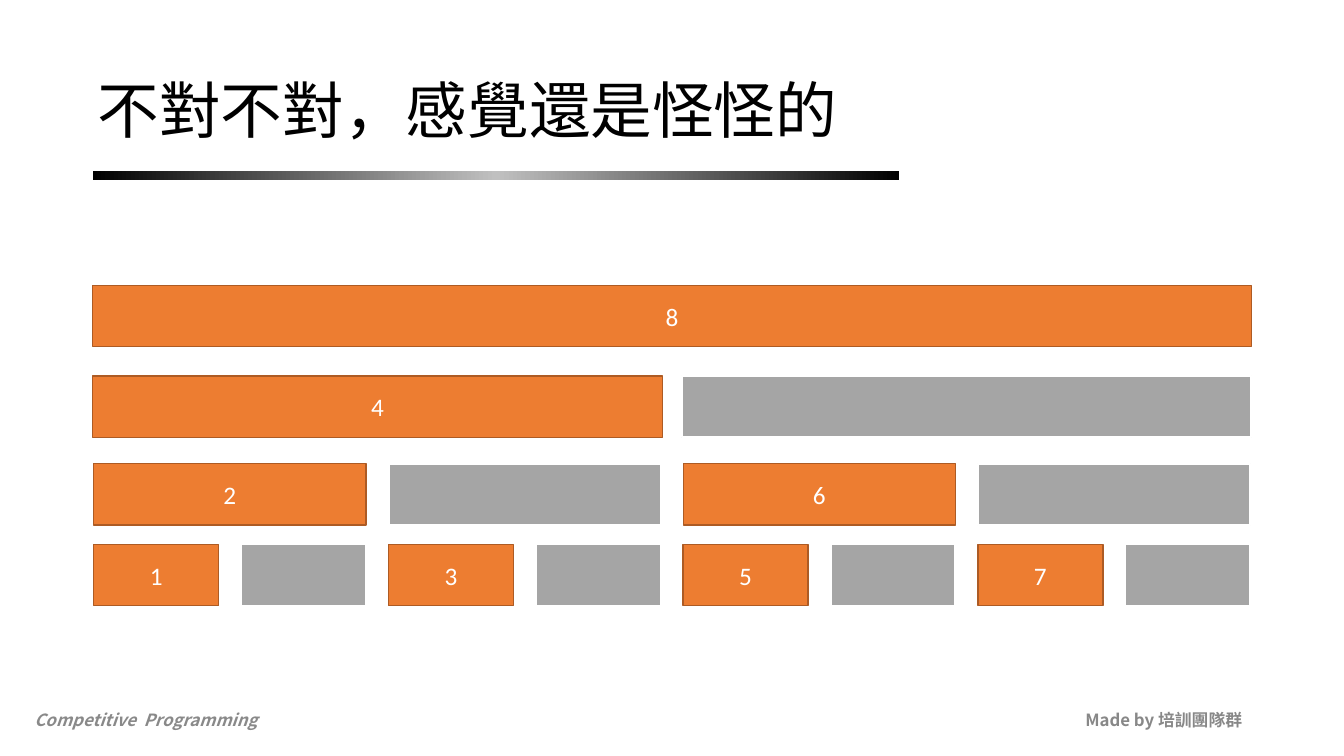
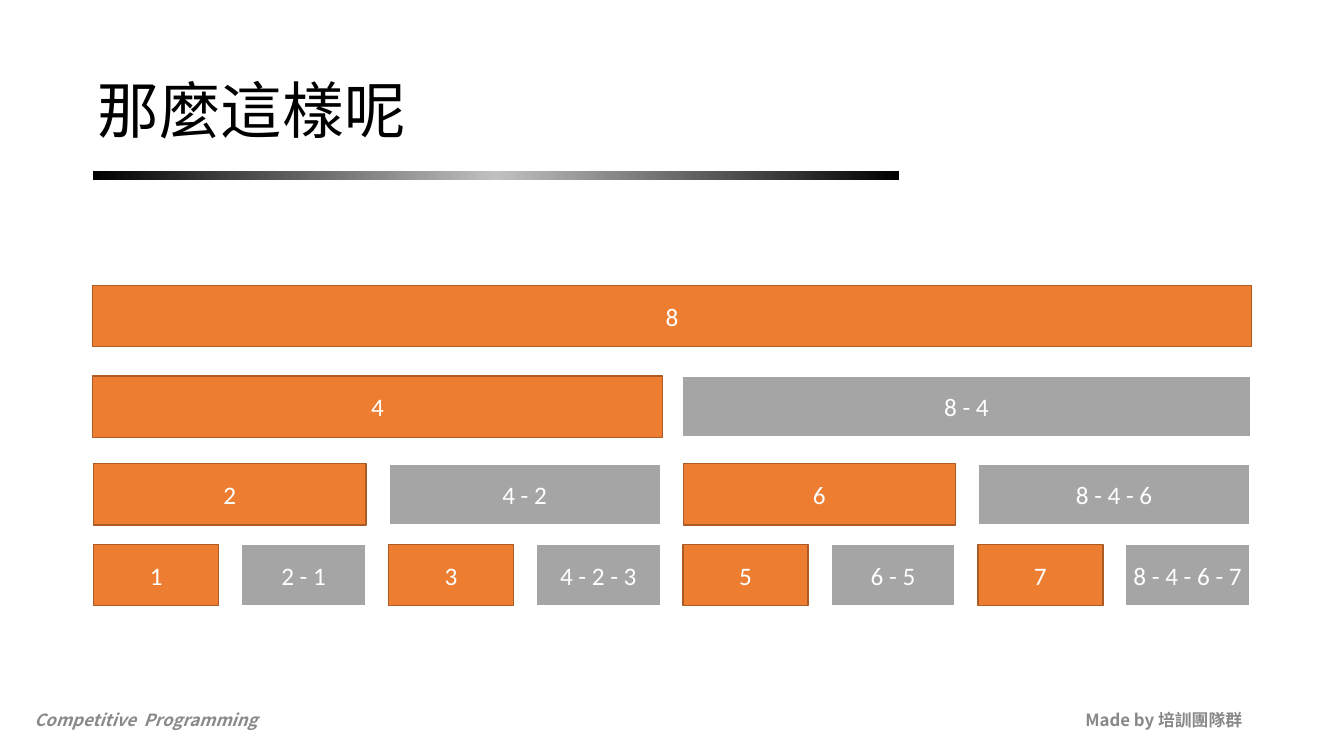
import copy

import lxml.etree
import pptx
import pptx.dml.color
import pptx.enum.shapes
import pptx.enum.text
import pptx.oxml.ns
import pptx.util

Inches = pptx.util.Inches
Pt = pptx.util.Pt
ALIGN = pptx.enum.text.PP_ALIGN
CJK = "Noto Sans CJK SC"
COLORS = {
    "ink": "000000", "shine": "C0C0C0", "paper": "FFFFFF",
    "made_by": "888888", "course": "898989",
    "stored": "ED7D31", "stored_line": "AD5B24", "derived": "A5A5A5",
}
STYLES = {
    "title": {"size": Pt(44), "name": "Karla"},
    "footer": {"size": Pt(12), "name": CJK, "bold": True},
    "footer_italic": {"size": Pt(12), "name": CJK, "bold": True, "italic": True},
    "cell": {"size": Pt(18), "name": "Calibri"},
}
TREE_BOX = (0.92, 2.83, 11.49, 3.18)
CELL_HEIGHT = 0.61
ROWS = [
    {"top": 0, "width": 11.49, "inset": 0},
    {"top": 0.9, "width": 5.65, "inset": 0},
    {"top": 1.77, "width": 2.7, "inset": 0.01},
    {"top": 2.57, "width": 1.24, "inset": 0.01},
]
SLIDES = [
    ("不對不對，感覺還是怪怪的",
     [["8"], ["4", ""], ["2", "", "6", ""],
      ["1", "", "3", "", "5", "", "7", ""]]),
    ("那麼這樣呢",
     [["8"], ["4", "8 - 4"], ["2", "4 - 2", "6", "8 - 4 - 6"],
      ["1", "2 - 1", "3", "4 - 2 - 3", "5", "6 - 5", "7", "8 - 4 - 6 - 7"]]),
]


def rgb(name):
    """Return the named palette colour."""
    return pptx.dml.color.RGBColor.from_string(COLORS[name])


def write(shape, text, style, color, align=ALIGN.LEFT, spacing=1.0):
    """Put one styled, vertically centred paragraph in a shape."""
    tf = shape.text_frame
    frame = {"word_wrap": True, "vertical_anchor": pptx.enum.text.MSO_ANCHOR.MIDDLE}
    frame.update({f"margin_{side}": Inches(0.05)
                  for side in ("left", "right", "top", "bottom")})
    for key, value in frame.items():
        setattr(tf, key, value)
    p = tf.paragraphs[0]
    p.alignment = align
    p.line_spacing = spacing
    r = p.add_run()
    r.text = text
    for key, value in STYLES[style].items():
        setattr(r.font, key, value)
    r.font.color.rgb = rgb(color)
    ea = lxml.etree.SubElement(r.font._element, pptx.oxml.ns.qn("a:ea"))
    ea.set("typeface", CJK)


def add_text(s, box, text, style, color, **layout):
    """Add a text box at the given box in inches."""
    write(s.shapes.add_textbox(*map(Inches, box)), text, style, color, **layout)


def add_rect(s, box):
    """Add a rectangle without shadow at the given box in inches."""
    sp = s.shapes.add_shape(pptx.enum.shapes.MSO_SHAPE.RECTANGLE, *map(Inches, box))
    sp.shadow.inherit = False
    return sp


def add_rule(s, box):
    """Add the bar that shades from dark to light and back."""
    sp = add_rect(s, box)
    sp.line.fill.background()
    sp.fill.gradient()
    sp.fill.gradient_angle = 0
    stops = sp._element.spPr.find(".//" + pptx.oxml.ns.qn("a:gsLst"))
    stops.insert(1, copy.deepcopy(stops[0]))
    for stop, (position, color) in zip(
            sp.fill.gradient_stops, [(0, "ink"), (0.5, "shine"), (1, "ink")]):
        stop.position = position
        stop.color.rgb = rgb(color)


def add_frame(s, title):
    """Add the title, its rule and the footers."""
    add_text(s, (9.47, 7, 2.9, 0.29), "Made by 培訓團隊群", "footer", "made_by",
             align=ALIGN.RIGHT)
    add_text(s, (0.29, 7, 2.9, 0.29), "Competitive  Programming",
             "footer_italic", "course")
    add_rule(s, (0.92, 1.7, 8, 0.09))
    add_text(s, (0.92, 0.4, 11.5, 1.45), title, "title", "ink", spacing=0.9)


def add_cell(s, box, label, stored):
    """Add one interval, stored or derived from others."""
    sp = add_rect(s, box)
    sp.fill.solid()
    sp.fill.fore_color.rgb = rgb("stored" if stored else "derived")
    sp.line.color.rgb = rgb("stored_line" if stored else "paper")
    sp.line.width = Pt(1 if stored else 1.5)
    if label:
        write(sp, label, "cell", "paper", align=ALIGN.CENTER)


def add_tree(s, box, levels):
    """Spread each level of intervals evenly across the box."""
    left, top, width, _ = box
    for row, labels in zip(ROWS, levels):
        free = width - 2 * row["inset"] - row["width"]
        pitch = free / max(len(labels) - 1, 1)
        for i, label in enumerate(labels):
            cell = (left + row["inset"] + i * pitch, top + row["top"],
                    row["width"], CELL_HEIGHT)
            add_cell(s, cell, label, stored=i % 2 == 0)


def main():
    """Build and save the presentation."""
    prs = pptx.Presentation()
    prs.slide_width = Inches(13.33)
    prs.slide_height = Inches(7.5)
    for title, levels in SLIDES:
        s = prs.slides.add_slide(prs.slide_layouts[6])
        add_frame(s, title)
        add_tree(s, TREE_BOX, levels)
    prs.save("out.pptx")


if __name__ == "__main__":
    main()
